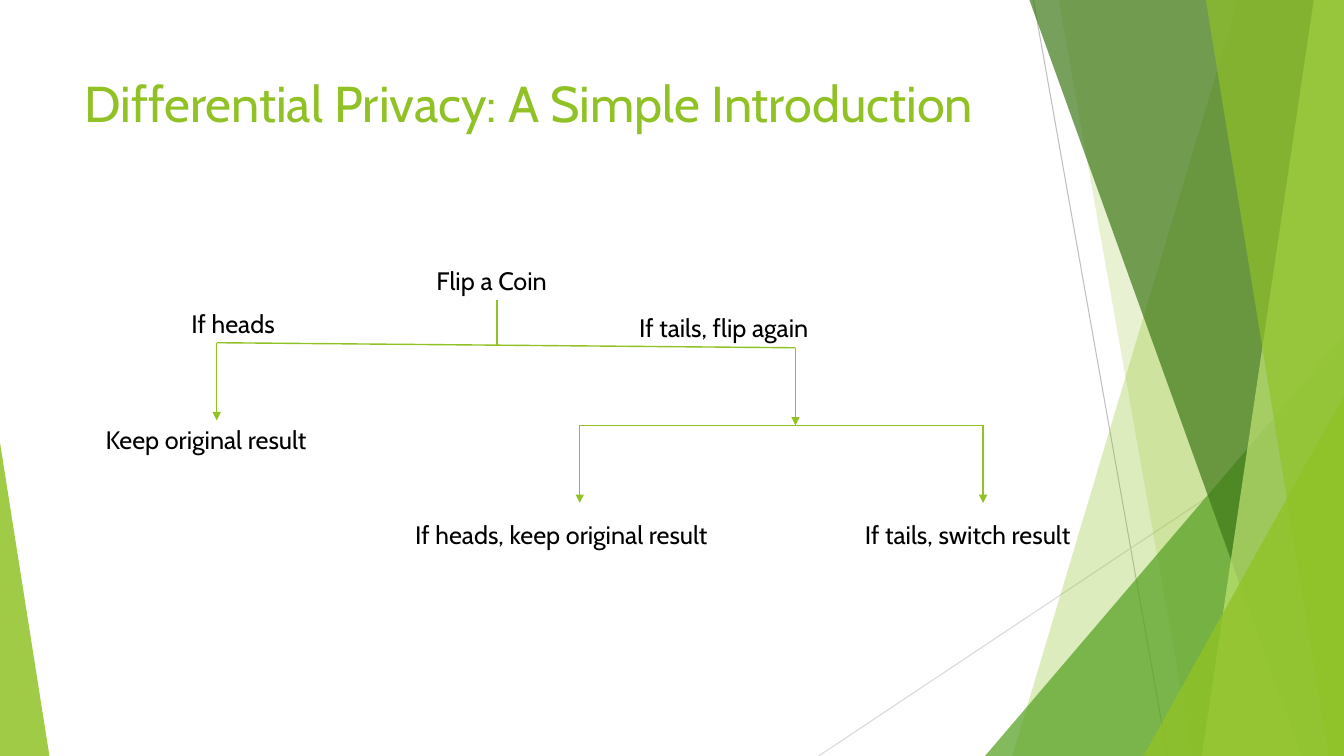
from dataclasses import dataclass

import lxml.etree
import pptx
import pptx.dml.color
import pptx.enum.shapes
import pptx.enum.text
import pptx.oxml.ns
import pptx.util

# The page is a grid of 133.3 columns by 75 rows, each a tenth of an inch.
CELL = pptx.util.Inches(0.1)
COLUMNS, ROWS = 133.3, 75
DROP = 7.7  # rows that each arrow falls
LABEL_ROWS = 4


@dataclass(frozen=True)
class Theme:
    font: str = "Cabin"
    title_size: int = 36
    label_size: int = 18
    accent: str = "90C226"
    green: str = "54A021"
    forest: str = "3F7819"
    lime: str = "C0E474"
    text: str = "000000"
    grey: str = "BFBFBF"
    pale_grey: str = "D9D9D9"
    hairline: float = 0.75
    branch: float = 1


THEME = Theme()


@dataclass(frozen=True)
class Line:
    start: tuple[float, float]
    end: tuple[float, float]
    arrow: bool = False
    color: str = THEME.accent
    weight: float = THEME.branch


@dataclass(frozen=True)
class Facet:
    """A full-height band from a slanted left edge to the right page edge."""
    top_left: float
    top_right: float
    bottom_left: float
    color: str
    opacity: int


@dataclass(frozen=True)
class Wedge:
    """A triangle standing on the bottom page edge."""
    left: float
    top: float
    width: float
    apex: float
    color: str
    opacity: int


@dataclass(frozen=True)
class Label:
    text: str
    left: float
    top: float
    width: float


BACKGROUND_LINES = [
    Line((102.5, 0), (115.8, ROWS), color=THEME.grey, weight=THEME.hairline),
    Line((COLUMNS, 40.3), (81.2, ROWS), color=THEME.pale_grey, weight=THEME.hairline),
]
FACETS = [
    Facet(122.8, COLUMNS, 100.4, THEME.accent, 30),
    Facet(105, COLUMNS, 118.3, THEME.accent, 20),
    Wedge(97.7, 33.3, 35.6, 1, THEME.green, 72),
    Facet(102.1, COLUMNS, 129.1, THEME.forest, 70),
    Facet(130.3, COLUMNS, 119.2, THEME.lime, 70),
    Facet(119.6, COLUMNS, 131.8, THEME.accent, 65),
    Wedge(113.4, 39.3, 19.9, 1, THEME.accent, 80),
    Wedge(0, 43.9, 4.9, 0, THEME.accent, 85),
]
LABELS = [
    Label("Flip a Coin", 42.3, 25.8, 14),
    Label("If heads", 18, 30.1, 10.9),
    Label("If tails, flip again", 62.4, 30.5, 21.5),
    Label("Keep original result", 9.5, 41.6, 24.1),
    Label("If heads, keep original result", 40.2, 51, 34.6),
    Label("If tails, switch result", 84.8, 51, 25.4),
]
FIRST_HEADS, FIRST_TAILS = (21.5, 34), (78.9, 34.5)
SECOND_HEADS, SECOND_TAILS = (57.5, 42.2), (97.5, 42.2)
BRANCHES = [
    Line((49.3, 29.8), (49.3, 34.2)),
    Line(FIRST_TAILS, FIRST_HEADS),
    Line(SECOND_TAILS, SECOND_HEADS),
    *(Line((column, row), (column, row + DROP), arrow=True)
      for column, row in (FIRST_HEADS, FIRST_TAILS, SECOND_HEADS, SECOND_TAILS)),
]


def cells(*counts: float) -> list[int]:
    return [round(count * CELL) for count in counts]


def rgb(color: str) -> pptx.dml.color.RGBColor:
    return pptx.dml.color.RGBColor.from_string(color)


def add_element(parent, tag: str, **attributes: str):
    return lxml.etree.SubElement(parent, pptx.oxml.ns.qn(tag), attributes)


def draw_line(page, line: Line) -> None:
    connector = page.shapes.add_connector(
        pptx.enum.shapes.MSO_CONNECTOR.STRAIGHT, *cells(*line.start, *line.end))
    connector.line.color.rgb = rgb(line.color)
    connector.line.width = pptx.util.Pt(line.weight)
    if line.arrow:
        add_element(connector.line._get_or_add_ln(), "a:tailEnd", type="triangle")
    add_element(connector._element.spPr, "a:effectLst")


def draw_facet(page, facet: Facet | Wedge) -> None:
    if isinstance(facet, Wedge):
        shape = page.shapes.add_shape(
            pptx.enum.shapes.MSO_SHAPE.ISOSCELES_TRIANGLE,
            *cells(facet.left, facet.top, facet.width, ROWS - facet.top))
        shape.adjustments[0] = facet.apex
    else:
        outline = page.shapes.build_freeform(*cells(facet.top_left, 0))
        corners = [(facet.top_right, 0), (COLUMNS, ROWS), (facet.bottom_left, ROWS)]
        outline.add_line_segments([cells(*corner) for corner in corners])
        shape = outline.convert_to_shape()
    shape.shadow.inherit = False
    shape.line.fill.background()
    shape.fill.solid()
    shape.fill.fore_color.rgb = rgb(facet.color)
    paint = shape._element.spPr.find(".//" + pptx.oxml.ns.qn("a:srgbClr"))
    add_element(paint, "a:alpha", val=str(facet.opacity * 1000))


def draw_text(page, label: Label, height: float, size: int, color: str, wrap: bool) -> None:
    box = page.shapes.add_textbox(*cells(label.left, label.top, label.width, height))
    frame = box.text_frame
    frame.word_wrap = wrap
    if not wrap:
        frame.auto_size = pptx.enum.text.MSO_AUTO_SIZE.SHAPE_TO_FIT_TEXT
    para = frame.paragraphs[0]
    para.text = label.text
    para.font.name = THEME.font
    para.font.size = pptx.util.Pt(size)
    para.font.color.rgb = rgb(color)


def main() -> None:
    deck = pptx.Presentation()
    deck.slide_width, deck.slide_height = cells(COLUMNS, ROWS)
    page = deck.slides.add_slide(deck.slide_layouts[6])
    for line in BACKGROUND_LINES:
        draw_line(page, line)
    for facet in FACETS:
        draw_facet(page, facet)
    title = Label("Differential Privacy: A Simple Introduction", 7.4, 6.7, 94)
    draw_text(page, title, 14.4, THEME.title_size, THEME.accent, wrap=True)
    for branch in BRANCHES:
        draw_line(page, branch)
    for label in LABELS:
        draw_text(page, label, LABEL_ROWS, THEME.label_size, THEME.text, wrap=False)
    deck.save("out.pptx")


if __name__ == "__main__":
    main()
